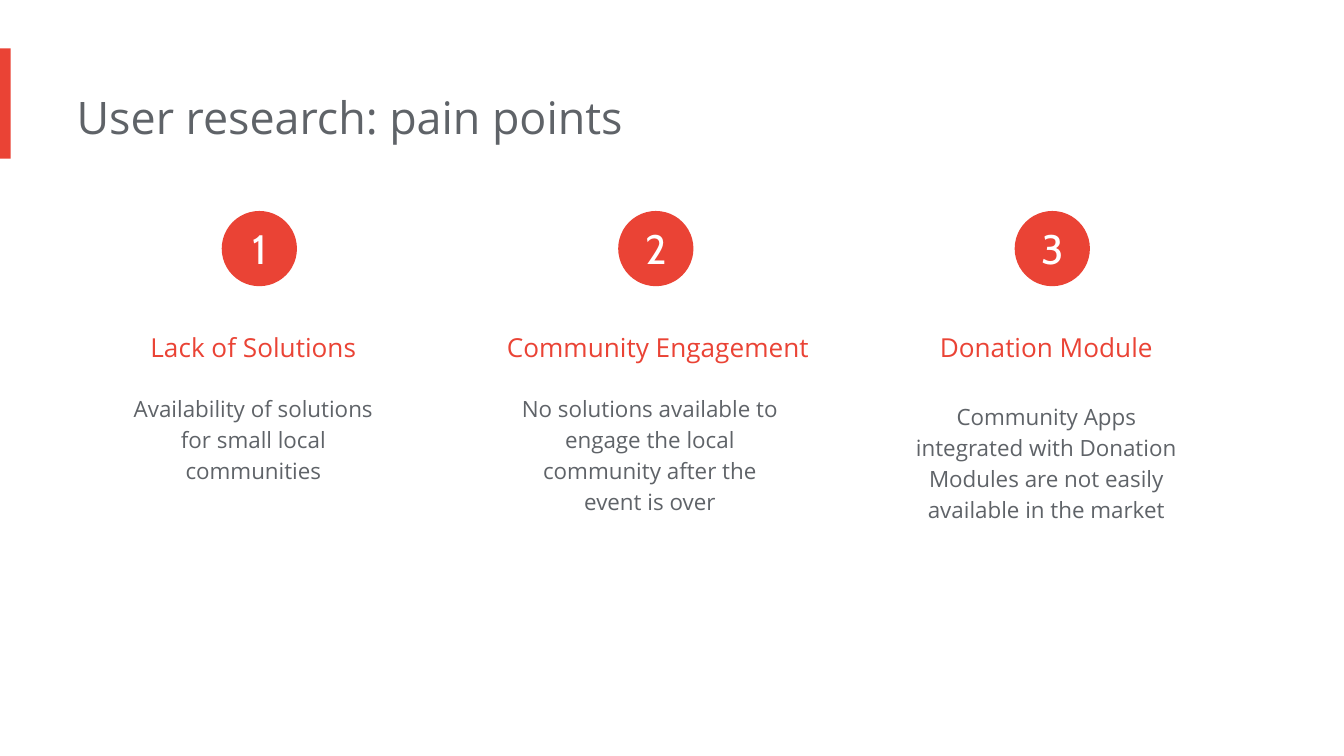
from typing import NamedTuple

from pptx import Presentation
from pptx.dml.color import RGBColor
from pptx.enum.shapes import MSO_SHAPE
from pptx.enum.text import MSO_ANCHOR, PP_ALIGN
from pptx.util import Inches, Pt

RED, GRAY, WHITE = "EA4335", "5F6368", "FFFFFF"
BODY_FONT, NUMBER_FONT = "Open Sans", "Cabin"

COLUMN_LEFT, COLUMN_STEP, COLUMN_WIDTH = 0.91, 2.95, 2.05
CIRCLE_INDENT, CIRCLE_TOP, CIRCLE_SIZE = 0.74, 1.57, 0.56
HEADING_TOP, HEADING_HEIGHT = 2.25, 0.56


class PainPoint(NamedTuple):
    heading: str
    description: str
    description_top: float = 2.81
    description_height: float = 1.58
    heading_shift: float = 0
    heading_width: float = COLUMN_WIDTH


PAIN_POINTS = [
    PainPoint("Lack of Solutions",
              "Availability of solutions for small local communities",
              description_height=1.35),
    PainPoint("Community Engagement",
              "No solutions available to engage the local community after the event is over",
              heading_shift=-0.15, heading_width=2.47),
    PainPoint("Donation Module",
              "Community Apps integrated with Donation Modules are not easily "
              "available in the market",
              description_top=2.87),
]


def color(value: str) -> RGBColor:
    return RGBColor.from_string(value)


def write_text(shape, text: str, size: float, text_color: str, font: str = BODY_FONT,
               align=PP_ALIGN.CENTER, line_spacing: float = 1.0,
               anchor=MSO_ANCHOR.TOP, margin: float = 0.1) -> None:
    """Fill a shape with one paragraph; the left margin is always zero."""
    frame = shape.text_frame
    frame.word_wrap = True
    frame.vertical_anchor = anchor
    frame.margin_left = 0
    frame.margin_top = frame.margin_right = frame.margin_bottom = Inches(margin)
    paragraph = frame.paragraphs[0]
    paragraph.alignment = align
    paragraph.line_spacing = line_spacing
    paragraph.space_before = Pt(0)
    run = paragraph.add_run()
    run.text = text
    run.font.name = font
    run.font.size = Pt(size)
    run.font.color.rgb = color(text_color)


def add_red_shape(slide, kind, left: float, top: float, width: float, height: float):
    shape = slide.shapes.add_shape(kind, Inches(left), Inches(top), Inches(width), Inches(height))
    shape.shadow.inherit = False
    shape.fill.solid()
    shape.fill.fore_color.rgb = color(RED)
    shape.line.fill.background()
    return shape


def add_text_box(slide, left: float, top: float, width: float, height: float,
                 text: str, size: float, text_color: str, line_spacing: float) -> None:
    box = slide.shapes.add_textbox(Inches(left), Inches(top), Inches(width), Inches(height))
    write_text(box, text, size, text_color, line_spacing=line_spacing)


def add_title(slide, text: str) -> None:
    title = slide.shapes.title
    title.left, title.top = Inches(0.57), Inches(0.57)
    title.width, title.height = Inches(6.73), Inches(0.61)
    write_text(title, text, 24, GRAY, align=PP_ALIGN.LEFT)


def add_pain_point(slide, index: int, point: PainPoint) -> None:
    left = COLUMN_LEFT + index * COLUMN_STEP
    circle = add_red_shape(slide, MSO_SHAPE.OVAL, left + CIRCLE_INDENT, CIRCLE_TOP,
                           CIRCLE_SIZE, CIRCLE_SIZE)
    write_text(circle, str(index + 1), 22, WHITE, font=NUMBER_FONT,
               anchor=MSO_ANCHOR.MIDDLE, margin=0)
    add_text_box(slide, left + point.heading_shift, HEADING_TOP, point.heading_width,
                 HEADING_HEIGHT, point.heading, 14, RED, 1.5)
    add_text_box(slide, left, point.description_top, COLUMN_WIDTH,
                 point.description_height, point.description, 12, GRAY, 1.15)


def main() -> None:
    presentation = Presentation()
    presentation.slide_width = Inches(10)
    presentation.slide_height = Inches(10 * 9 / 16)
    slide = presentation.slides.add_slide(presentation.slide_layouts[5])
    slide.background.fill.solid()
    slide.background.fill.fore_color.rgb = color(WHITE)

    add_red_shape(slide, MSO_SHAPE.RECTANGLE, 0, 0.36, 0.08, 0.82)
    add_title(slide, "User research: pain points")
    for index, point in enumerate(PAIN_POINTS):
        add_pain_point(slide, index, point)
    presentation.save("out.pptx")


if __name__ == "__main__":
    main()
